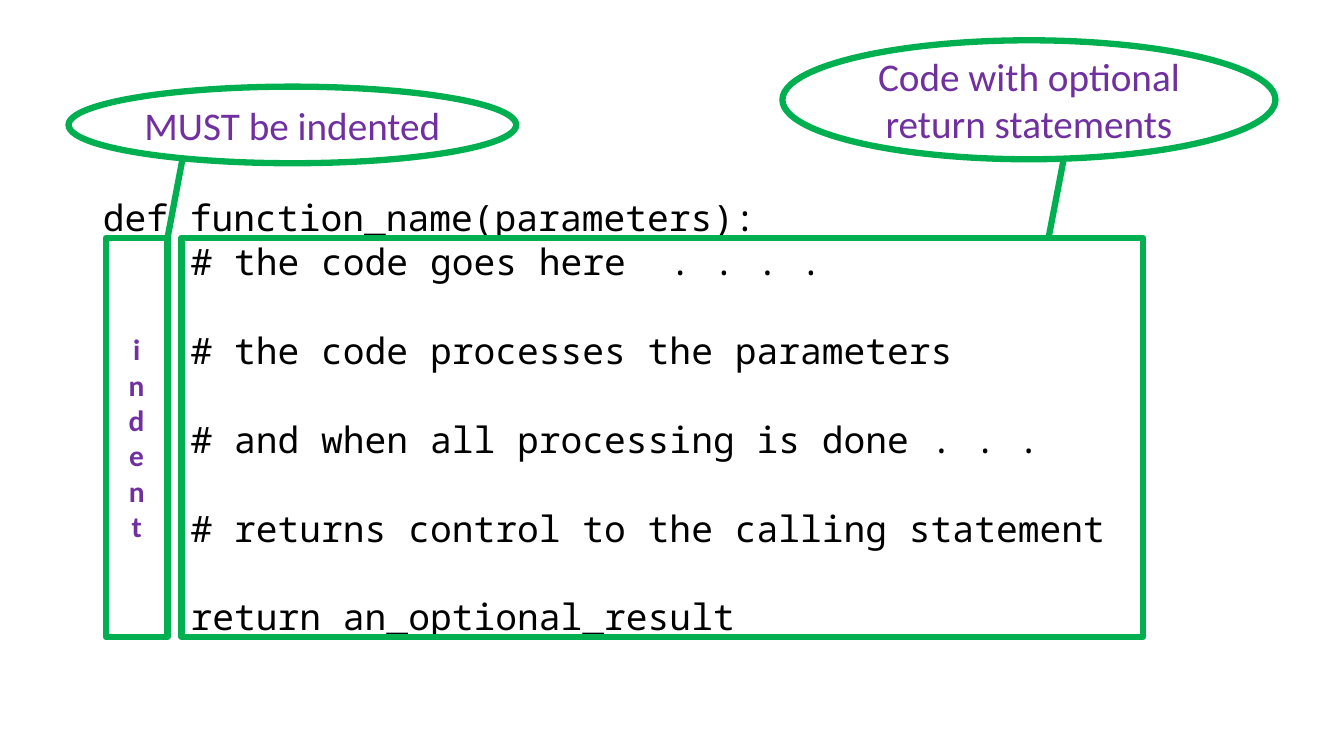
import pptx
import pptx.util
import pptx.dml.color
import pptx.enum.shapes
import pptx.enum.text
import pptx.oxml.ns
import lxml.etree
from dataclasses import dataclass

SHAPE = pptx.enum.shapes.MSO_SHAPE
ALIGN = pptx.enum.text.PP_ALIGN
ANCHOR = pptx.enum.text.MSO_ANCHOR


@dataclass(frozen=True)
class Theme:
    """Colours, fonts and point sizes of the slide."""
    code: str = "000000"
    outline: str = "00B050"
    label: str = "7030A0"
    code_font: str = "Noto Sans Mono"
    label_font: str = "Calibri"
    code_size: float = 25.9
    label_size: float = 28
    indent_size: float = 21
    line_width: float = 4.5
    line_spacing: float = 0.7
    gap: float = 10
    wide_gap: float = 41.7


THEME = Theme()
INDENT = 87
SIGNATURE = "def function_name(parameters):"
BODY = [
    "# the code goes here  . . . .",
    "# the code processes the parameters",
    "# and when all processing is done . . .",
    "# returns control to the calling statement",
    "return an_optional_result",
]


def px(n):
    """Turn pixels, 100 to the inch, into EMU."""
    return pptx.util.Emu(n * 9144)


def style_run(r, font, size, color, bold=False):
    """Format one run."""
    r.font.name = font
    r.font.size = pptx.util.Pt(size)
    r.font.bold = bold
    r.font.color.rgb = pptx.dml.color.RGBColor.from_string(color)


def add_outline(slide, kind, box):
    """Add an unfilled shape with the green outline."""
    sp = slide.shapes.add_shape(kind, *map(px, box))
    sp.shadow.inherit = False
    sp.fill.background()
    sp.line.color.rgb = pptx.dml.color.RGBColor.from_string(THEME.outline)
    sp.line.width = pptx.util.Pt(THEME.line_width)
    return sp


def add_label(sp, text, size, bold=False):
    """Centre a purple label in a shape."""
    tf = sp.text_frame
    tf.word_wrap = True
    tf.vertical_anchor = ANCHOR.MIDDLE
    p = tf.paragraphs[0]
    p.text = text
    p.alignment = ALIGN.CENTER
    style_run(p.runs[0], THEME.label_font, size, THEME.label, bold)


def add_bubble(slide, box, text):
    """Add an oval with its label."""
    add_label(add_outline(slide, SHAPE.OVAL, box), text, THEME.label_size)


def add_callout(slide, box, start, tip):
    """Add a frame with a leader from a point on its edge to a tip."""
    sp = add_outline(slide, SHAPE.LINE_CALLOUT_1, box)
    x, y, w, h = box
    ends = [((py - y) / h, (qx - x) / w) for qx, py in (tip, start)]
    for i, value in enumerate(v for end in ends for v in end):
        sp.adjustments[i] = value
    return sp


def add_code(slide, box):
    """Fill the body placeholder with the function listing."""
    sp = slide.placeholders[1]
    sp.left, sp.top, sp.width, sp.height = map(px, box)
    tf = sp.text_frame
    tf.word_wrap = True
    tf.auto_size = pptx.enum.text.MSO_AUTO_SIZE.NONE
    tf.vertical_anchor = ANCHOR.TOP
    tf.text = "\n".join([SIGNATURE] + BODY)
    for i, p in enumerate(tf.paragraphs):
        p.alignment = ALIGN.LEFT
        p.line_spacing = THEME.line_spacing
        p.space_before = pptx.util.Pt(THEME.gap if i < 2 else THEME.wide_gap)
        p.space_after = pptx.util.Pt(0)
        pPr = p._p.get_or_add_pPr()
        pPr.set("marL", str(px(INDENT if i else 0)))
        pPr.set("indent", "0")
        lxml.etree.SubElement(pPr, pptx.oxml.ns.qn("a:buNone"))
        style_run(p.runs[0], THEME.code_font, THEME.code_size, THEME.code)


def build_function_slide(prs):
    """Build the slide that explains the parts of a function."""
    slide = prs.slides.add_slide(prs.slide_layouts[1])
    title = slide.shapes.title
    title._element.getparent().remove(title._element)
    add_code(slide, (92, 200, 1150, 476))
    top, height, tip_y = 236, 396, 158
    indent = add_callout(slide, (105, top, 61, height), (166, top + 1), (181, tip_y))
    add_label(indent, "indent", THEME.indent_size, bold=True)
    indent.text_frame._txBody.bodyPr.set("vert", "wordArtVert")
    add_callout(slide, (180, top, 954, height), (1040, top), (1055, tip_y))
    add_bubble(slide, (68, 86, 444, 76), "MUST be indented")
    add_bubble(slide, (776, 40, 489, 118), "Code with optional return statements")


def main():
    """Create and save the presentation."""
    prs = pptx.Presentation()
    prs.slide_width, prs.slide_height = px(1333), px(750)
    build_function_slide(prs)
    prs.save("out.pptx")


if __name__ == "__main__":
    main()
